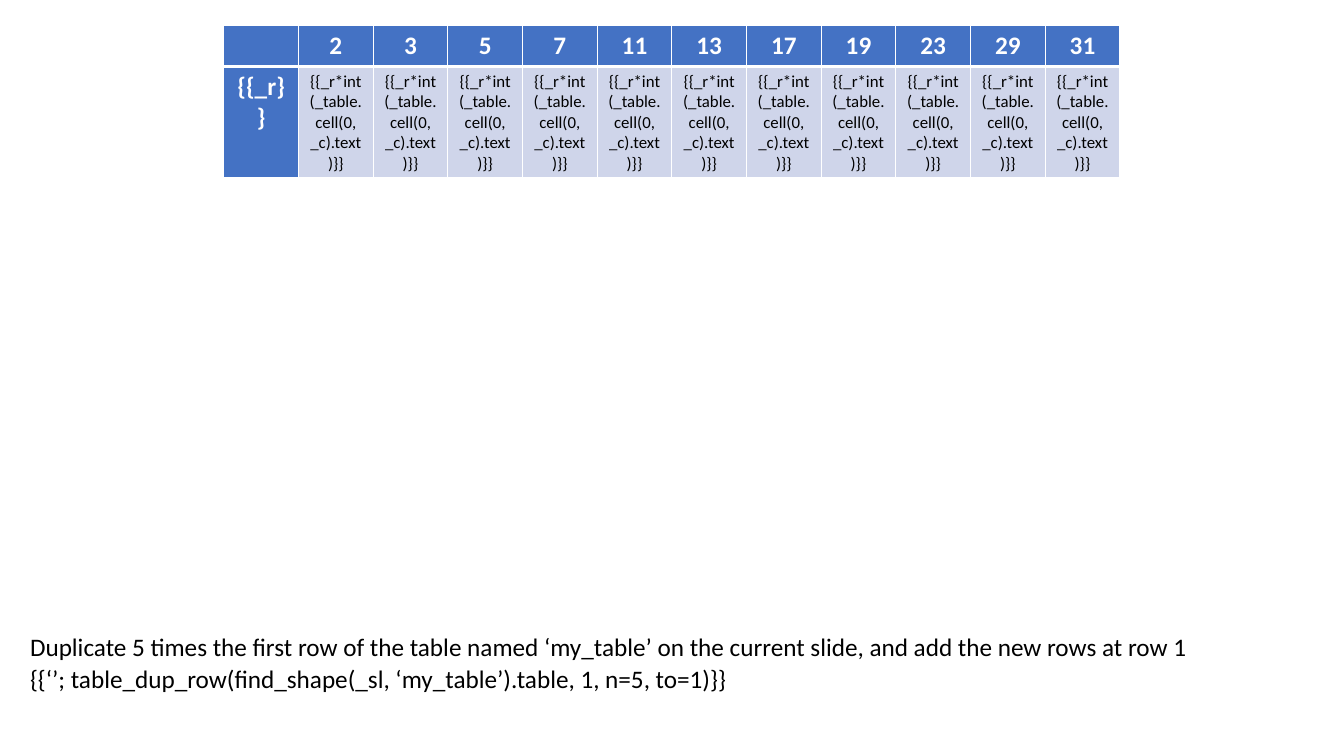
from lxml.etree import SubElement
from pptx import Presentation
from pptx.dml.color import RGBColor
from pptx.enum.text import MSO_AUTO_SIZE, PP_ALIGN
from pptx.oxml.ns import qn
from pptx.util import Inches, Pt

BLACK = RGBColor(0x00, 0x00, 0x00)
WHITE = RGBColor(0xFF, 0xFF, 0xFF)
BLUE = RGBColor(0x44, 0x72, 0xC4)
PALE_BLUE = RGBColor(0xCF, 0xD5, 0xEA)

PRIMES = [2, 3, 5, 7, 11, 13, 17, 19, 23, 29, 31]
ROW_LABEL = "{{_r}}"
PRODUCT = "{{_r*int(_table.cell(0, _c).text)}}"
INSTRUCTIONS = [
    "Duplicate 5 times the first row of the table named ‘my_table’ on the current slide, and add the new rows at row 1",
    "{{‘’; table_dup_row(find_shape(_sl, ‘my_table’).table, 1, n=5, to=1)}}",
]


class SlideBuilder:
    font_name = "Calibri"
    heading_size = 18
    formula_size = 12

    def __init__(self, slide):
        self.slide = slide

    def add_run(self, paragraph, text, size, color, bold=False):
        run = paragraph.add_run()
        run.text = text
        run.font.name = self.font_name
        run.font.size = Pt(size)
        run.font.bold = bold
        run.font.color.rgb = color

    def add_text(self, left, top, width, height, lines):
        box = self.slide.shapes.add_textbox(
            Inches(left), Inches(top), Inches(width), Inches(height))
        frame = box.text_frame
        frame.word_wrap = False
        frame.auto_size = MSO_AUTO_SIZE.SHAPE_TO_FIT_TEXT
        for index, line in enumerate(lines):
            paragraph = frame.add_paragraph() if index else frame.paragraphs[0]
            paragraph.line_spacing = 1.05
            self.add_run(paragraph, line, self.heading_size, BLACK)

    def add_borders(self, cell, **widths):
        properties = cell._tc.get_or_add_tcPr()
        for side in "LRTB":
            width = widths.get(side, 1)
            line = SubElement(properties, qn(f"a:ln{side}"), w=str(Pt(width)))
            fill = SubElement(line, qn("a:solidFill"))
            SubElement(fill, qn("a:srgbClr"), val=str(WHITE))

    def fill_cell(self, cell, text, is_heading):
        cell.fill.solid()
        cell.fill.fore_color.rgb = BLUE if is_heading else PALE_BLUE
        paragraph = cell.text_frame.paragraphs[0]
        paragraph.alignment = PP_ALIGN.CENTER
        if text:
            size = self.heading_size if is_heading else self.formula_size
            color = WHITE if is_heading else BLACK
            self.add_run(paragraph, text, size, color, bold=is_heading)

    def add_table(self, left, top, width, row_height, rows):
        column_count = len(rows[0])
        table = self.slide.shapes.add_table(
            len(rows), column_count, Inches(left), Inches(top),
            Inches(width), Inches(row_height * len(rows))).table
        table.first_col = True
        table.horz_banding = False
        for column in table.columns:
            column.width = Inches(width / column_count)
        for r, texts in enumerate(rows):
            table.rows[r].height = Inches(row_height)
            for c, text in enumerate(texts):
                cell = table.cell(r, c)
                self.add_borders(cell, **({"T": 3} if r else {"B": 3}))
                self.fill_cell(cell, text, r == 0 or c == 0)


def main():
    presentation = Presentation()
    presentation.slide_width = Inches(13.33)
    presentation.slide_height = Inches(7.5)
    builder = SlideBuilder(
        presentation.slides.add_slide(presentation.slide_layouts[6]))
    builder.add_text(0.2, 6.2, 11.83, 0.72, INSTRUCTIONS)
    header = [""] + [str(prime) for prime in PRIMES]
    products = [ROW_LABEL] + [PRODUCT] * len(PRIMES)
    builder.add_table(2.22, 0.25, 8.89, 0.41, [header, products])
    presentation.save("out.pptx")


if __name__ == "__main__":
    main()
